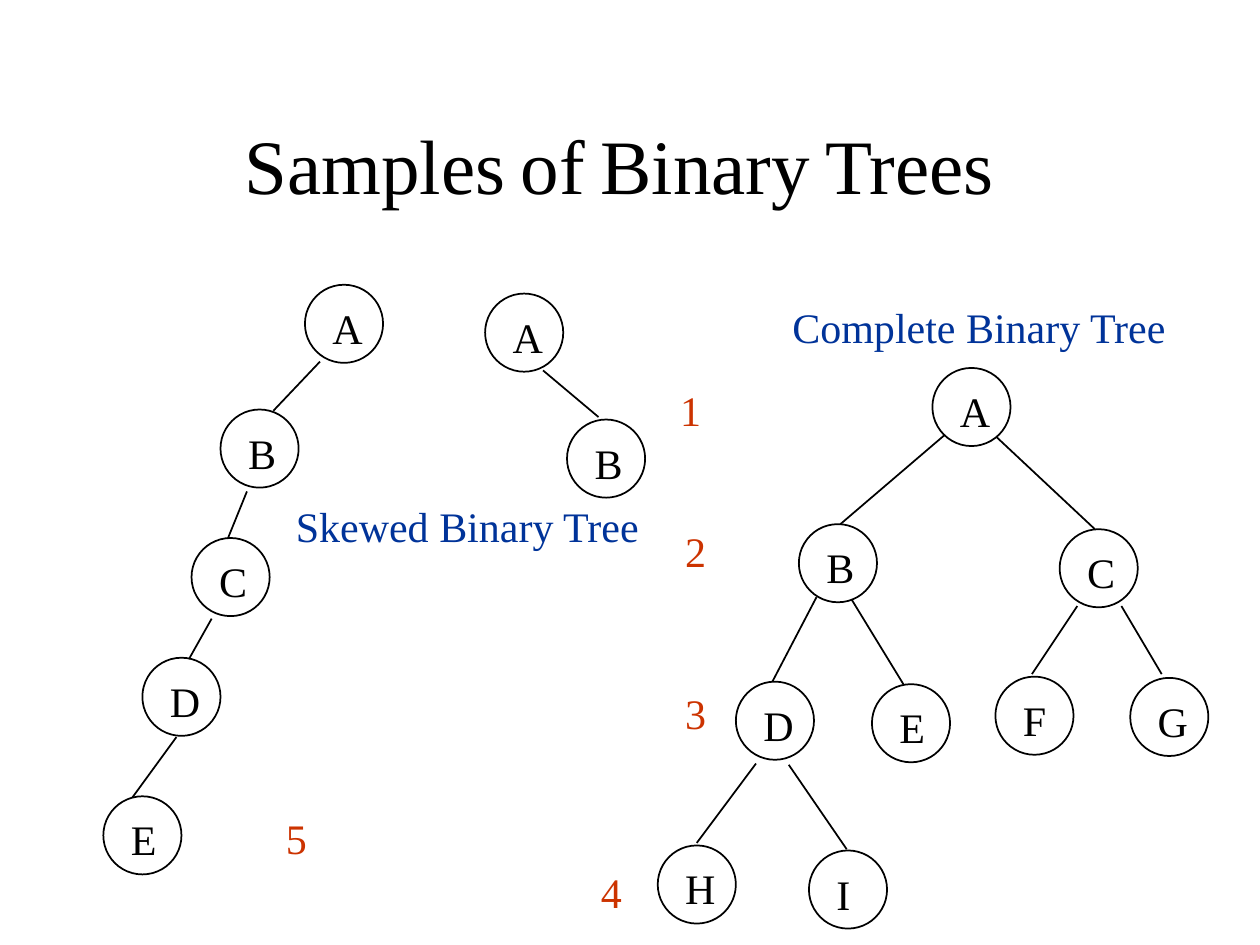
from typing import NamedTuple

from lxml.etree import SubElement
from pptx import Presentation
from pptx.dml.color import RGBColor
from pptx.enum.shapes import MSO_CONNECTOR as CONN, MSO_SHAPE as SHAPE
from pptx.enum.text import MSO_ANCHOR as ANCHOR, MSO_AUTO_SIZE as AUTO, PP_ALIGN as ALIGN
from pptx.oxml.ns import qn
from pptx.util import Inches, Pt

FONT = "Times New Roman"
BLACK, BLUE, RED, PALE = "000000", "003399", "CC3300", "CCCCFF"
DIAMETER = 0.62
LABEL_HEIGHT = 0.5
LETTER_WIDTHS = {"A": 0.44, "B": 0.42, "C": 0.42, "D": 0.44, "E": 0.4,
                 "F": 0.39, "G": 0.44, "H": 0.44, "I": 0.31}


class Node(NamedTuple):
    letter: str
    left: float
    top: float


class Edge(NamedTuple):
    x1: float
    y1: float
    x2: float
    y2: float


class Label(NamedTuple):
    text: str
    left: float
    top: float
    width: float
    color: str


NODES = [
    Node("A", 2.42, 2.26), Node("B", 1.75, 3.25), Node("C", 1.52, 4.27),
    Node("D", 1.13, 5.22), Node("E", 0.82, 6.32),
    Node("A", 3.85, 2.33), Node("B", 4.5, 3.33),
    Node("A", 7.4, 2.92), Node("B", 6.34, 4.16), Node("C", 8.41, 4.2),
    Node("D", 5.84, 5.41), Node("E", 6.92, 5.43), Node("F", 7.9, 5.37),
    Node("G", 8.97, 5.38), Node("H", 5.22, 6.71), Node("I", 6.42, 6.75),
]

EDGES = [
    Edge(2.54, 2.87, 2.17, 3.26), Edge(1.96, 3.9, 1.81, 4.27),
    Edge(1.68, 4.91, 1.5, 5.23), Edge(1.4, 5.85, 1.05, 6.33),
    Edge(4.31, 2.94, 4.75, 3.31),
    Edge(7.5, 3.45, 6.67, 4.16), Edge(7.91, 3.47, 8.69, 4.2),
    Edge(6.48, 4.74, 6.13, 5.41), Edge(6.76, 4.76, 7.17, 5.43),
    Edge(8.55, 4.81, 8.19, 5.35), Edge(8.9, 4.81, 9.22, 5.35),
    Edge(6, 6.06, 5.53, 6.69), Edge(6.26, 6.07, 6.72, 6.74),
]

LABELS = [
    Label("Complete Binary Tree", 6.19, 2.34, 3.18, BLUE),
    Label("Skewed Binary Tree", 2.25, 3.92, 2.94, BLUE),
    Label("1", 5.3, 3, 0.37, RED),
    Label("2", 5.34, 4.12, 0.37, RED),
    Label("3", 5.34, 5.41, 0.37, RED),
    Label("4", 4.67, 6.83, 0.37, RED),
    Label("5", 2.17, 6.4, 0.37, RED),
]


def rgb(color: str) -> RGBColor:
    return RGBColor.from_string(color)


def style_font(font, size: float, color: str, name: str = FONT) -> None:
    font.name = name
    font.size = Pt(size)
    font.color.rgb = rgb(color)


def style_line(line) -> None:
    line.color.rgb = rgb(BLACK)
    line.width = Pt(1)


def add_title(shapes, text: str) -> None:
    sp = shapes.add_textbox(Inches(0.75), Inches(0.67), Inches(8.33), Inches(1.25))
    tf = sp.text_frame
    tf.word_wrap = True
    tf.vertical_anchor = ANCHOR.MIDDLE
    p = tf.paragraphs[0]
    p.alignment = ALIGN.CENTER
    for i, word in enumerate(text.split()):
        if i:
            r = p.add_run()
            r.text = " "
            style_font(r.font, 40, PALE, "Cambria")
            r.font.italic = True
        r = p.add_run()
        r.text = word
        style_font(r.font, 44, BLACK)


def add_label(shapes, label: Label) -> None:
    sp = shapes.add_textbox(Inches(label.left), Inches(label.top),
                            Inches(label.width), Inches(LABEL_HEIGHT))
    tf = sp.text_frame
    tf.word_wrap = False
    tf.auto_size = AUTO.SHAPE_TO_FIT_TEXT
    p = tf.paragraphs[0]
    p.text = label.text
    style_font(p.font, 24, label.color)


def add_node(shapes, node: Node) -> None:
    group = shapes.add_group_shape()
    sp = group.shapes.add_shape(SHAPE.OVAL, Inches(node.left), Inches(node.top),
                                Inches(DIAMETER), Inches(DIAMETER))
    sp.shadow.inherit = False
    sp.fill.background()
    style_line(sp.line)
    add_label(group.shapes, Label(node.letter, node.left + 0.12, node.top + 0.09,
                                  LETTER_WIDTHS[node.letter], BLACK))


def add_edge(shapes, edge: Edge) -> None:
    line = shapes.add_connector(CONN.STRAIGHT, *(Inches(v) for v in edge))
    style_line(line.line)
    SubElement(line._element.spPr, qn("a:effectLst"))


def main() -> None:
    prs = Presentation()
    prs.slide_width, prs.slide_height = Inches(10), Inches(7.5)
    s = prs.slides.add_slide(prs.slide_layouts[6])
    add_title(s.shapes, "Samples of Binary Trees")
    for node in NODES:
        add_node(s.shapes, node)
    for edge in EDGES:
        add_edge(s.shapes, edge)
    for label in LABELS:
        add_label(s.shapes, label)
    prs.save("out.pptx")


if __name__ == "__main__":
    main()
